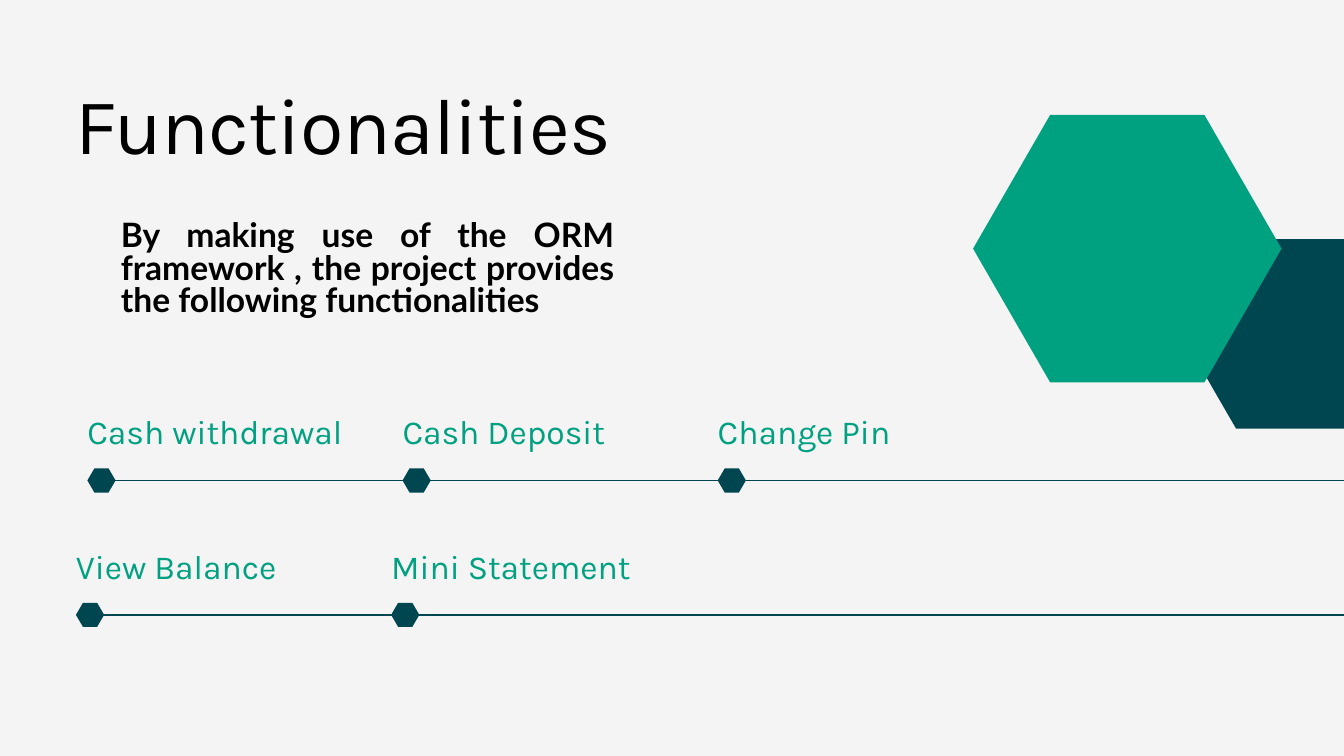
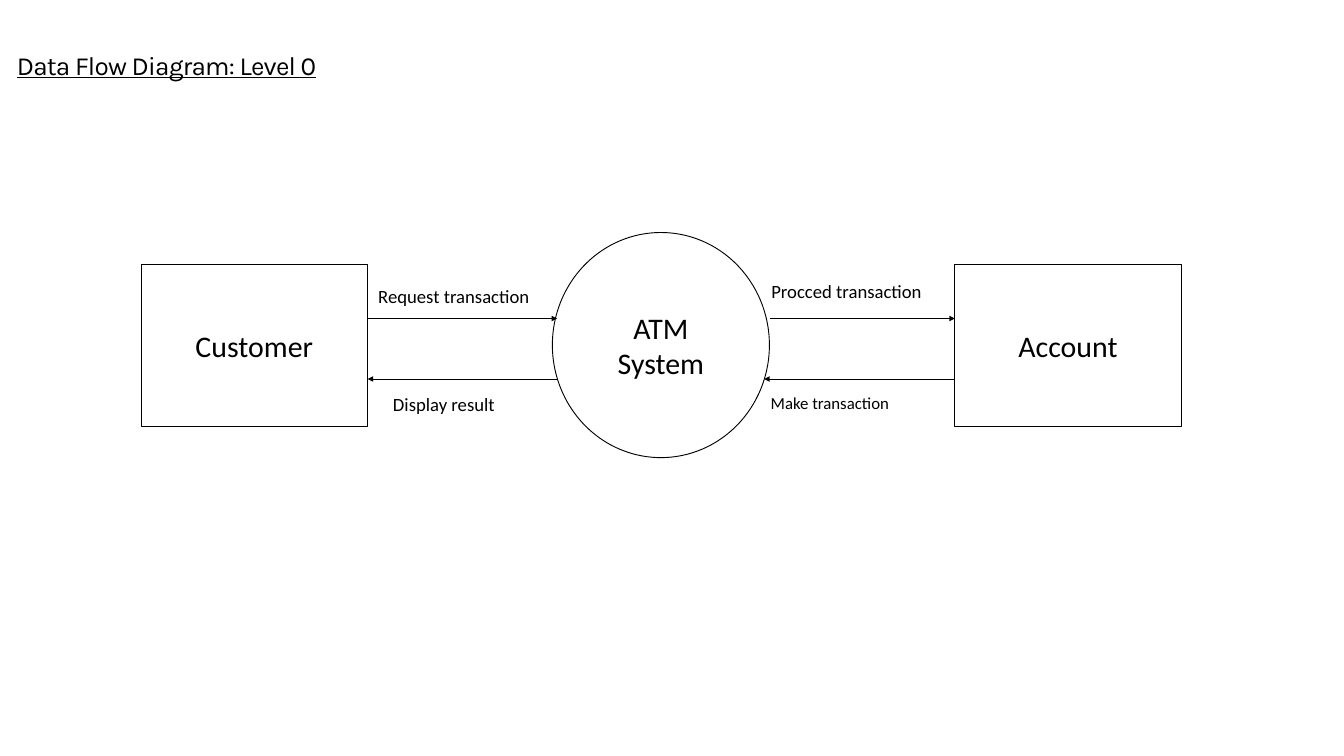
from pptx import Presentation, util as u
from pptx.dml.color import RGBColor
from pptx.enum import shapes, text
from pptx.oxml.ns import qn
from lxml import etree

Inches, Pt = u.Inches, u.Pt
COLORS = {"black": "000000", "white": "FFFFFF", "grey": "F4F4F4",
          "green": "00A181", "teal": "004651"}
WIDTH, HEIGHT = 20, 11.25


def rgb(name):
    return RGBColor.from_string(COLORS[name])


class Deck:
    """Holds the shared style and the current slide."""

    def __init__(self):
        self.prs = Presentation()
        self.prs.slide_width, self.prs.slide_height = Inches(WIDTH), Inches(HEIGHT)
        self.s = None

    def slide(self, background):
        self.s = self.prs.slides.add_slide(self.prs.slide_layouts[5])
        fill = self.s.background.fill
        fill.solid()
        fill.fore_color.rgb = rgb(background)

    def put_text(self, p, words, size, font, color="black", bold=False, underline=False):
        r = p.add_run()
        r.text = words
        r.font.size, r.font.name = Pt(size), font
        r.font.bold, r.font.underline = bold, underline
        r.font.color.rgb = rgb(color)
        return r

    def frame(self, sp, inset):
        tf = sp.text_frame
        tf.word_wrap = True
        tf.auto_size = text.MSO_AUTO_SIZE.SHAPE_TO_FIT_TEXT
        tf.vertical_anchor = text.MSO_ANCHOR.TOP
        if not inset:
            tf.margin_left = tf.margin_right = tf.margin_top = tf.margin_bottom = 0
        return tf.paragraphs[0]

    def title(self, words, x, y, w, h, size, underline=False):
        sp = self.s.shapes.title
        sp.left, sp.top, sp.width, sp.height = map(Inches, (x, y, w, h))
        p = self.frame(sp, inset=False)
        p.alignment, p.line_spacing = text.PP_ALIGN.LEFT, Pt(102)
        r = self.put_text(p, words, size, "Karla", underline=underline)
        r._r.get_or_add_rPr().set("spc", "-80")

    def label(self, words, x, y, w, h, size, font, color="black", bold=False,
              spacing=None, inset=True):
        sp = self.s.shapes.add_textbox(*map(Inches, (x, y, w, h)))
        p = self.frame(sp, inset)
        if spacing:
            p.line_spacing = Pt(spacing)
        self.put_text(p, words, size, font, color, bold)
        return p

    def hexagon(self, x, y, w, h, color):
        outline = [(x + w, y + h / 2), (x + w * 3 / 4, y + h), (x + w / 4, y + h),
                   (x, y + h / 2), (x + w / 4, y), (x + w * 3 / 4, y)]
        points = [(Inches(px), Inches(py)) for px, py in outline]
        fb = self.s.shapes.build_freeform(*points[0])
        fb.add_line_segments(points[1:], close=True)
        sp = fb.convert_to_shape()
        sp.shadow.inherit = False
        sp.fill.solid()
        sp.fill.fore_color.rgb = rgb(color)
        sp.line.fill.background()

    def node(self, kind, lines, x, y, w, h):
        sp = self.s.shapes.add_shape(kind, *map(Inches, (x, y, w, h)))
        sp.shadow.inherit = False
        sp.fill.solid()
        sp.fill.fore_color.rgb = rgb("white")
        sp.line.color.rgb, sp.line.width = rgb("black"), Pt(1)
        tf = sp.text_frame
        tf.vertical_anchor = text.MSO_ANCHOR.MIDDLE
        for i, words in enumerate(lines):
            p = tf.add_paragraph() if i else tf.paragraphs[0]
            p.alignment = text.PP_ALIGN.CENTER
            self.put_text(p, words, 32, "Calibri")

    def line(self, x1, x2, y, color, width, arrow=False):
        cx = self.s.shapes.add_connector(
            shapes.MSO_CONNECTOR.STRAIGHT, *map(Inches, (x1, y, x2, y)))
        cx.line.color.rgb, cx.line.width = rgb(color), Pt(width)
        spPr = cx._element.spPr
        if arrow:
            etree.SubElement(spPr.find(qn("a:ln")), qn("a:tailEnd"), type="triangle")
        etree.SubElement(spPr, qn("a:effectLst"))

    def timeline(self, names, x, y):
        """A row of labels over hexagon markers on a line to the slide's edge."""
        step, marker_w, marker_h = 4.69, 0.42, 0.36
        self.line(x + 0.25, WIDTH, y, "teal", 1.5)
        for i, name in enumerate(names):
            left = x + i * step
            self.label(name, left, y - 1.03, 4.04, 0.6, 36, "Karla", "green",
                       spacing=43.2, inset=False)
            self.hexagon(left, y - marker_h / 2, marker_w, marker_h, "teal")


def functionalities(deck):
    deck.slide("grey")
    deck.title("Functionalities", 1.12, 1.12, 8.04, 1.39, 85)

    # Introduction
    p = deck.label("By making use of the ORM framework , the project provides "
                   "the following functionalities", 1.2, 3.25, 8.04, 1.57, 36,
                   "Lato", bold=True, spacing=35)
    p.alignment, p.level = text.PP_ALIGN.JUSTIFY, 1
    pPr = p._p.get_or_add_pPr()
    pPr.set("marL", str(Inches(0.5)))
    pPr.set("indent", "0")

    # Decoration
    deck.hexagon(17.58, 3.56, 3.26, 2.82, "teal")
    deck.hexagon(14.48, 1.71, 4.59, 3.98, "green")

    # Functions
    deck.timeline(["Cash withdrawal", "Cash Deposit", "Change Pin"], 1.3, 7.15)
    deck.timeline(["View Balance", "Mini Statement"], 1.13, 9.15)


def data_flow(deck):
    deck.slide("white")
    deck.title("Data Flow Diagram: Level 0", 0.25, -0.21, 5.08, 1.17, 28, underline=True)

    # System and the two entities
    deck.node(shapes.MSO_SHAPE.OVAL, ["ATM", "System"], 8.22, 3.46, 3.23, 3.35)
    for name, x in (("Customer", 2.1), ("Account", 14.21)):
        deck.node(shapes.MSO_SHAPE.RECTANGLE, [name], x, 3.93, 3.37, 2.42)

    # Flows: arrow from, to, height
    out_y, back_y = 4.74, 5.64
    for x1, x2, y in ((5.47, 8.29, out_y), (11.46, 14.21, out_y),
                      (14.21, 11.37, back_y), (8.29, 5.47, back_y)):
        deck.line(x1, x2, y, "black", 0.5, arrow=True)

    # Flow names
    for words, x, y, size in (("Request transaction", 5.53, 4.19, 20),
                              ("Procced transaction", 11.38, 4.11, 20),
                              ("Make transaction", 11.37, 5.8, 18),
                              ("Display result", 5.75, 5.8, 20)):
        deck.label(words, x, y, 3.47, 0.44, size, "Calibri")


def main():
    deck = Deck()
    functionalities(deck)
    data_flow(deck)
    deck.prs.save("out.pptx")


if __name__ == "__main__":
    main()
